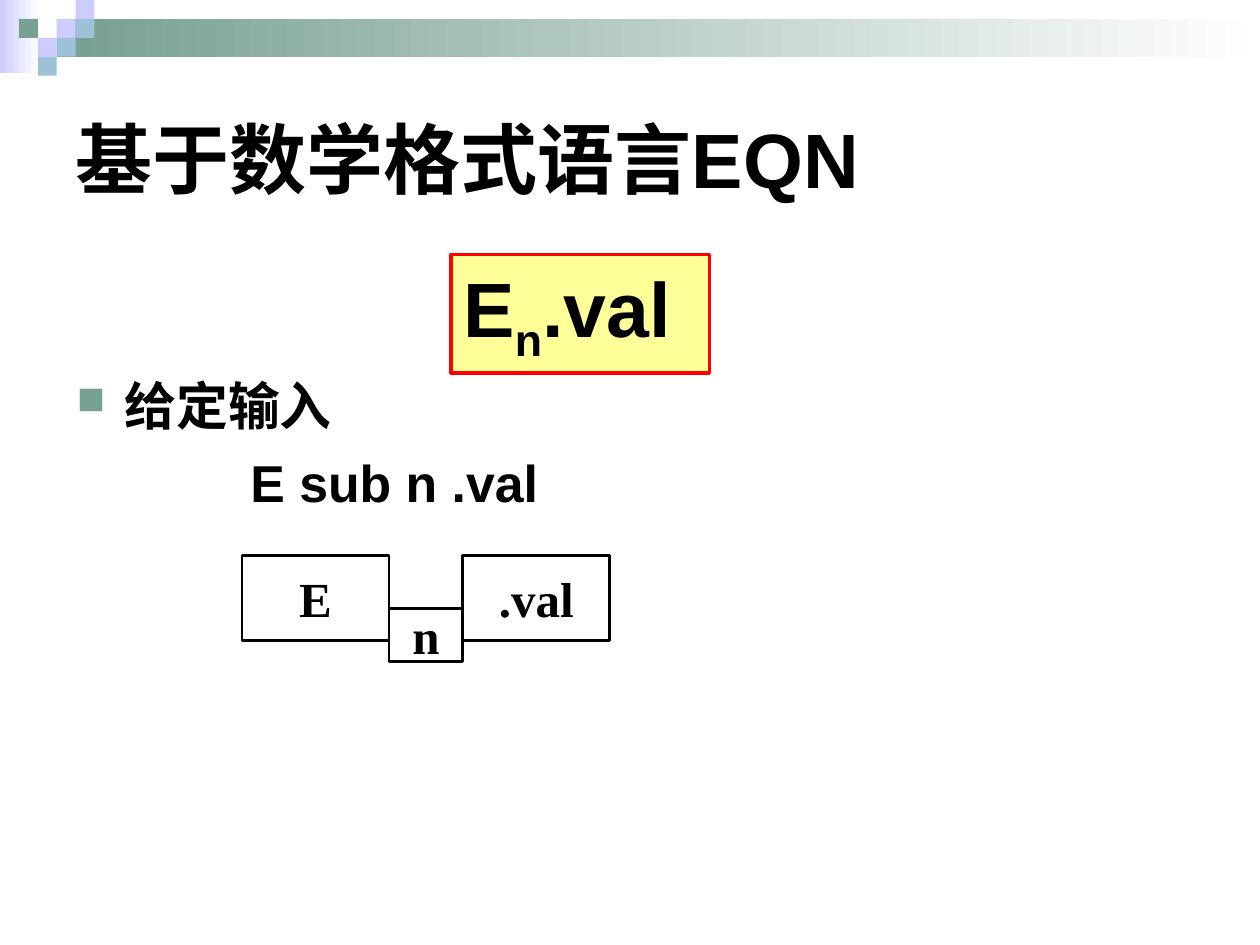
import pptx
import pptx.util
import pptx.dml.color
import pptx.enum.shapes
import pptx.enum.text
import pptx.oxml

Inches = pptx.util.Inches
Pt = pptx.util.Pt
ALIGN = pptx.enum.text.PP_ALIGN
ANCHOR = pptx.enum.text.MSO_ANCHOR
GREEN, LILAC, BLUE = "779F92", "CCCCFF", "9DC2D7"
BLACK, WHITE = "000000", "FFFFFF"
BOLD = {"name": "Arial", "bold": True}


def color(code):
    """Turn a hex string into a colour."""
    return pptx.dml.color.RGBColor.from_string(code)


def apply(item, form):
    """Set each attribute named in a dict."""
    for key, value in form.items():
        setattr(item, key, value)


def write(para, text, size, form=BOLD):
    """Add one run of black text to a paragraph."""
    run = para.add_run()
    run.text = text
    apply(run.font, {**form, "size": Pt(size)})
    run.font.color.rgb = color(BLACK)
    return run


def rect(slide, box, fill=None, line=None, width=1.5):
    """Draw a rectangle with a plain, two-colour or empty fill."""
    shape = slide.shapes.add_shape(
        pptx.enum.shapes.MSO_SHAPE.RECTANGLE, *map(Inches, box))
    shape.shadow.inherit = False
    if fill is None:
        shape.fill.background()
    elif isinstance(fill, tuple):
        shape.fill.gradient()
        shape.fill.gradient_angle = 0
        for stop, code in zip(shape.fill.gradient_stops, fill):
            stop.color.rgb = color(code)
    else:
        shape.fill.solid()
        shape.fill.fore_color.rgb = color(fill)
    if line:
        shape.line.color.rgb = color(line)
        shape.line.width = Pt(width)
    else:
        shape.line.fill.background()
    return shape


def frame(slide, box, anchor):
    """Add a wrapping text box and return its frame."""
    text = slide.shapes.add_textbox(*map(Inches, box)).text_frame
    apply(text, {"word_wrap": True, "vertical_anchor": anchor})
    return text


def banner(slide, box):
    """Draw the fading bar and the mosaic of small squares."""
    left, top, width, height = box
    side = 0.15
    rect(slide, (left, top, 0.31, 0.58), (LILAC, WHITE))
    rect(slide, (left + 3 * side, top + side, width - 3 * side, height - 2 * side),
         (GREEN, WHITE))
    tiles = [(3, 1, LILAC), (4, 0, LILAC), (4, 1, BLUE), (2, 2, LILAC),
             (1, 1, GREEN), (3, 2, BLUE), (2, 3, BLUE)]
    for col, row, code in tiles:
        rect(slide, (left + col * side, top + row * side, side, side), code)


def title(slide, box):
    """Place the heading."""
    write(frame(slide, box, ANCHOR.MIDDLE).paragraphs[0], "基于数学格式语言EQN", 44)


def bullet(para, indent):
    """Give a paragraph a green square with a hanging indent."""
    props = para._p.get_or_add_pPr()
    props.set("marL", str(Inches(indent)))
    props.set("indent", str(-Inches(indent)))
    space = 'xmlns:a="http://schemas.openxmlformats.org/drawingml/2006/main"'
    for mark in (f'<a:buClr {space}><a:srgbClr val="{GREEN}"/></a:buClr>',
                 f'<a:buSzPct {space} val="75000"/>',
                 f'<a:buChar {space} char="■"/>'):
        props.append(pptx.oxml.parse_xml(mark))


def body(slide, box):
    """Place the bullet and the indented input line."""
    text = frame(slide, box, ANCHOR.TOP)
    first, second = text.paragraphs[0], text.add_paragraph()
    bullet(first, 0.38)
    write(first, "给定输入", 29.6)
    second._p.get_or_add_pPr().set("marL", str(Inches(1.38)))
    second.space_before = Pt(8)
    write(second, "E sub n .val", 29.6)


def boxes(slide, box):
    """Draw the three typeset boxes, the middle one lowered."""
    left, top, width, height = box
    unit = width / 5
    big, small = height * 0.8, height * 0.5
    parts = [("E", 0, 2, 0, big), ("n", 2, 1, height - small, small),
             (".val", 3, 2, 0, big)]
    for label, col, span, drop, tall in parts:
        shape = rect(slide, (left + col * unit, top + drop, span * unit, tall),
                     line=BLACK)
        text = shape.text_frame
        apply(text, {"word_wrap": False, "vertical_anchor": ANCHOR.MIDDLE})
        text.paragraphs[0].alignment = ALIGN.CENTER
        write(text.paragraphs[0], label, 28, {**BOLD, "name": "Times New Roman"})


def formula(slide, box):
    """Draw the yellow box with the subscripted formula."""
    text = rect(slide, box, "FFFF99", "FF0000", 2).text_frame
    apply(text, {"word_wrap": True, "vertical_anchor": ANCHOR.TOP})
    para = text.paragraphs[0]
    para.alignment = ALIGN.LEFT
    for part, base in (("E", 0), ("n", -25000), (".val", 0)):
        run = write(para, part, 44)
        if base:
            run._r.get_or_add_rPr().set("baseline", str(base))


def main():
    """Build and save the slide."""
    deck = pptx.Presentation()
    apply(deck, {"slide_width": Inches(10), "slide_height": Inches(7.5)})
    slide = deck.slides.add_slide(deck.slide_layouts[6])
    banner(slide, (0, 0, 10, 0.6))
    title(slide, (0.5, 0.5, 9, 1.5))
    body(slide, (0.51, 2.92, 9, 1.26))
    boxes(slide, (1.92, 4.41, 2.92, 0.84))
    formula(slide, (3.58, 2.02, 2.05, 0.94))
    deck.save("out.pptx")


if __name__ == "__main__":
    main()
